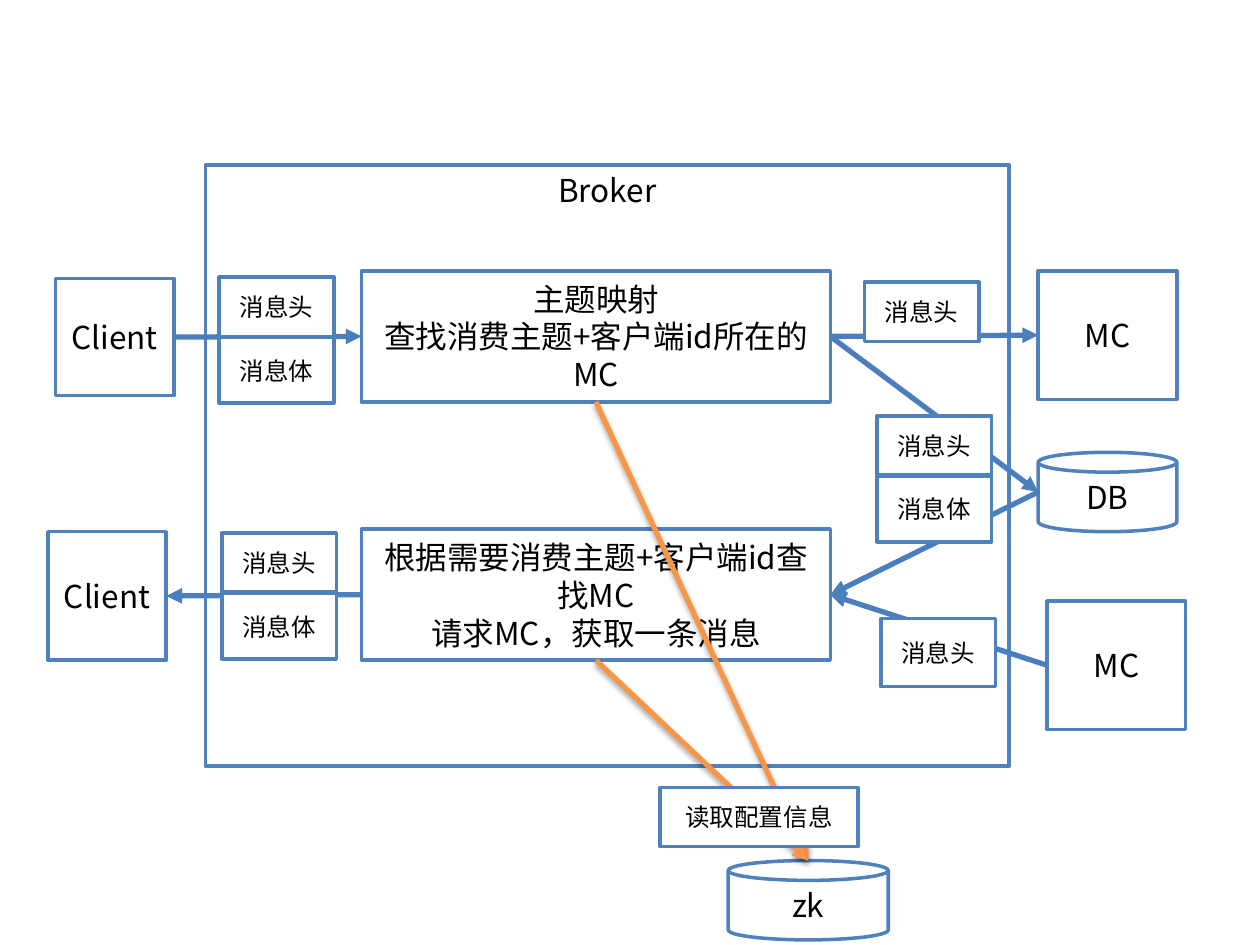
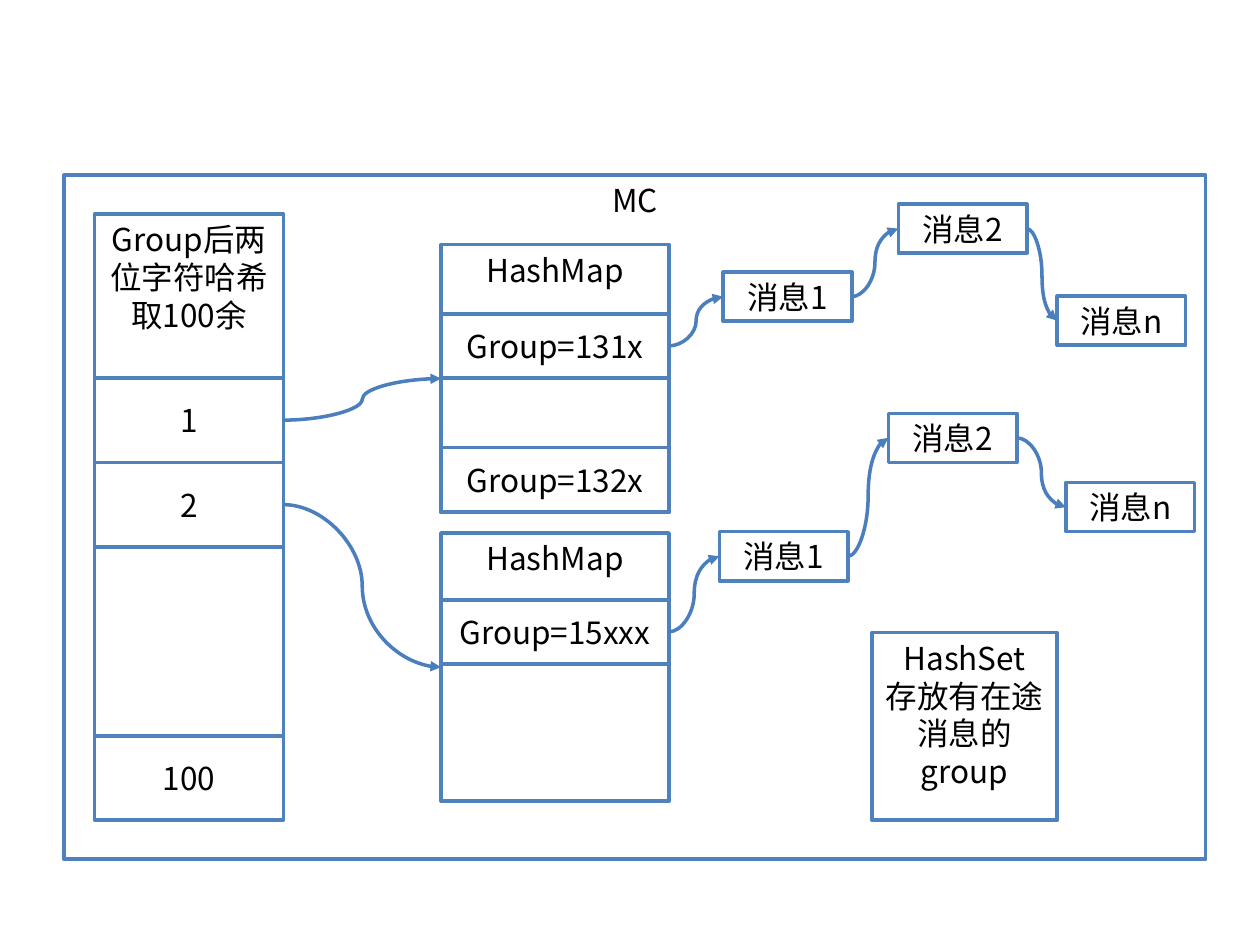
from lxml import etree
from pptx import Presentation
from pptx.dml.color import RGBColor
from pptx.enum.shapes import MSO_CONNECTOR, MSO_SHAPE
from pptx.enum.text import MSO_ANCHOR, PP_ALIGN
from pptx.oxml.ns import qn
from pptx.util import Pt

EMU_PER_PX = 9144  # 100 px to the inch
FONT = "Noto Sans CJK SC"
COLORS = {
    "paper": "FFFFFF",
    "border": "4F81BD",
    "flow": "4B7EBC",
    "config": "F79646",
    "text": "000000",
}
SIDES = ["top", "left", "bottom", "right"]  # order of a rectangle's connection sites


def px(length):
    return length * EMU_PER_PX


def color(name):
    return RGBColor.from_string(COLORS[name])


def write(shape, text, size=18, anchor=MSO_ANCHOR.MIDDLE):
    """Put centred text into a shape, one paragraph per line."""
    frame = shape.text_frame
    frame.word_wrap = True
    frame.vertical_anchor = anchor
    for index, line in enumerate(text.split("\n")):
        para = frame.add_paragraph() if index else frame.paragraphs[0]
        para.alignment = PP_ALIGN.CENTER
        span = para.add_run()
        span.text = line
        span.font.size = Pt(size)
        span.font.name = FONT
        span.font.color.rgb = color("text")
        etree.SubElement(span.font._element, qn("a:ea"), typeface=FONT)


def side_point(shape, side):
    """Return the middle of one side of a shape, in EMU."""
    x, y = shape.left + shape.width // 2, shape.top + shape.height // 2
    return {
        "top": (x, shape.top),
        "left": (shape.left, y),
        "bottom": (x, shape.top + shape.height),
        "right": (shape.left + shape.width, y),
    }[side]


class Diagram:
    def __init__(self):
        self.deck = Presentation()
        self.deck.slide_width, self.deck.slide_height = px(1000), px(750)
        self.page = None

    def new_page(self):
        blank = self.deck.slide_layouts[6]
        self.page = self.deck.slides.add_slide(blank)

    def box(self, left, top, width, height, text="", kind=MSO_SHAPE.RECTANGLE, **text_format):
        shape = self.page.shapes.add_shape(kind, px(left), px(top), px(width), px(height))
        shape.shadow.inherit = False
        shape.fill.solid()
        shape.fill.fore_color.rgb = color("paper")
        shape.line.color.rgb = color("border")
        shape.line.width = Pt(2)
        if text:
            write(shape, text, **text_format)
        return shape

    def frame(self, left, top, width, height, text):
        """Draw a container with its caption at the top."""
        return self.box(left, top, width, height, text, anchor=MSO_ANCHOR.TOP)

    def can(self, left, top, width, height, text):
        return self.box(left, top, width, height, text, kind=MSO_SHAPE.CAN)

    def label(self, left, top, text, width=91, height=47):
        return self.box(left, top, width, height, text, size=14)

    def message(self, left, top):
        """Draw a message header above its body."""
        self.label(left, top, "消息头")
        self.label(left, top + 48, "消息体", height=52)

    def link(self, start, end, start_side="right", end_side="left",
             kind=MSO_CONNECTOR.STRAIGHT, width=3, stroke="flow", shadow=False):
        """Draw an arrow between two shapes, glued where the shape is a rectangle."""
        line = self.page.shapes.add_connector(
            kind, *side_point(start, start_side), *side_point(end, end_side))
        if start.auto_shape_type == MSO_SHAPE.RECTANGLE:
            line.begin_connect(start, SIDES.index(start_side))
        if end.auto_shape_type == MSO_SHAPE.RECTANGLE:
            line.end_connect(end, SIDES.index(end_side))
        line.line.color.rgb = color(stroke)
        line.line.width = Pt(width)
        properties = line._element.spPr
        etree.SubElement(properties.find(qn("a:ln")), qn("a:tailEnd"), type="triangle")
        effects = etree.SubElement(properties, qn("a:effectLst"))
        if shadow:
            outer = etree.SubElement(effects, qn("a:outerShdw"), blurRad="40000",
                                     dist="23000", dir="5400000", rotWithShape="0")
            tint = etree.SubElement(outer, qn("a:srgbClr"), val=COLORS["text"])
            etree.SubElement(tint, qn("a:alpha"), val="35000")

    def curve(self, start, end):
        self.link(start, end, kind=MSO_CONNECTOR.CURVE, width=2)

    def message_chain(self, group, places):
        """Lead from a group through its messages 1, 2 and n."""
        previous = group
        for name, (left, top) in zip("12n", places):
            item = self.box(left, top, 102, 39, "消息" + name)
            self.curve(previous, item)
            previous = item


def build_broker_page(diagram):
    diagram.new_page()
    diagram.frame(163, 131, 638, 477, "Broker")
    sender = diagram.box(44, 221, 94, 93, "Client")
    receiver = diagram.box(38, 422, 94, 102, "Client")
    mapping = diagram.box(287, 215, 372, 104, "主题映射\n查找消费主题+客户端id所在的MC")
    fetching = diagram.box(287, 420, 372, 104,
                           "根据需要消费主题+客户端id查找MC\n请求MC，获取一条消息")
    target_mc = diagram.box(824, 215, 110, 102, "MC")
    source_mc = diagram.box(831, 477, 110, 102, "MC")
    database = diagram.can(824, 359, 110, 63, "DB")
    zk = diagram.can(578, 683, 127, 63, "zk")

    for start, end in [(sender, mapping), (mapping, target_mc), (mapping, database)]:
        diagram.link(start, end)
    for start, end in [(fetching, receiver), (source_mc, fetching), (database, fetching)]:
        diagram.link(start, end, "left", "right")
    for service in (mapping, fetching):
        diagram.link(service, zk, "bottom", "top", stroke="config", shadow=True)

    for left, top in [(174, 220), (176, 423), (696, 330)]:
        diagram.message(left, top)
    diagram.label(686, 224, "消息头")
    diagram.label(699, 491, "消息头", height=54)
    diagram.label(524, 625, "读取配置信息", width=157)


def build_mc_page(diagram):
    diagram.new_page()
    diagram.frame(51, 139, 906, 543, "MC")
    diagram.frame(75, 170, 150, 480, "Group后两位字符哈希取100余")
    first, second, _ = [diagram.box(75, top, 150, 67, text)
                        for top, text in [(300, "1"), (367, "2"), (584, "100")]]
    for slot, top in [(first, 194), (second, 423)]:
        diagram.curve(slot, diagram.frame(350, top, 181, 213, "HashMap"))

    group_131, _, group_15 = [
        diagram.box(350, top, 181, 51, text)
        for top, text in [(249, "Group=131x"), (355, "Group=132x"), (476, "Group=15xxx")]]
    diagram.message_chain(group_131, [(574, 216), (713, 162), (839, 235)])
    diagram.message_chain(group_15, [(571, 422), (705, 328), (846, 383)])
    diagram.frame(692, 502, 147, 149, "HashSet\n存放有在途消息的group")


def main():
    diagram = Diagram()
    build_broker_page(diagram)
    build_mc_page(diagram)
    diagram.deck.save("out.pptx")


if __name__ == "__main__":
    main()
